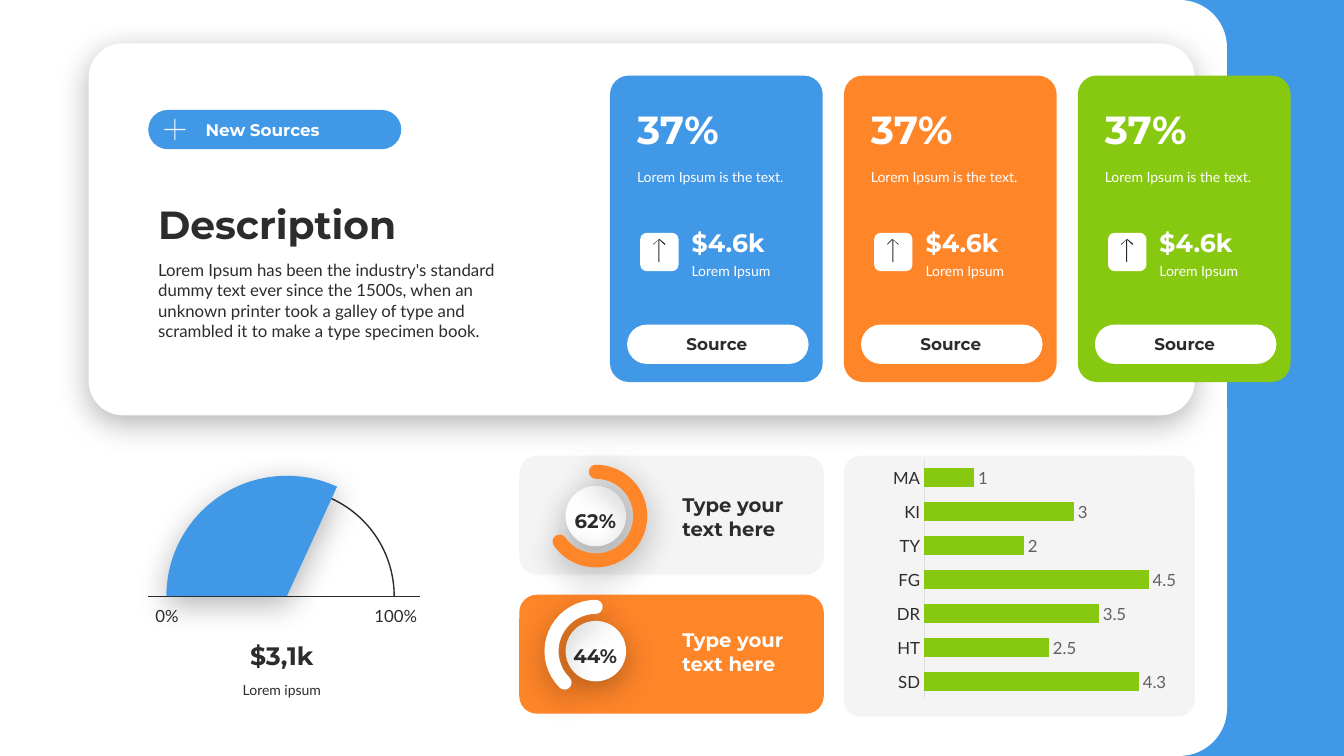
from dataclasses import dataclass

from lxml import etree
from pptx import Presentation
from pptx import util as u
from pptx.chart import data as chart_data
from pptx.dml import color
from pptx.enum import chart as charts, shapes, text
from pptx.oxml import ns

# Content
BADGE = "New Sources"
DESCRIPTION = (
    "Description",
    "Lorem Ipsum has been the industry's standard dummy text ever since the 1500s, "
    "when an unknown printer took a galley of type and scrambled it to make a type "
    "specimen book.",
)
SOURCE_CARDS = [
    ("blue", "37%", "Lorem Ipsum is the text.", "$4.6k", "Lorem Ipsum", "Source"),
    ("orange", "37%", "Lorem Ipsum is the text.", "$4.6k", "Lorem Ipsum", "Source"),
    ("green", "37%", "Lorem Ipsum is the text.", "$4.6k", "Lorem Ipsum", "Source"),
]
METER = {"low": "0%", "high": "100%", "amount": "$3,1k", "caption": "Lorem ipsum"}
# share, caption, ring start and end in degrees, card, card opacity, ring, caption colour
RINGS = [
    ("62%", "Type your text here", 270, 144.9, "ink", 5, "orange", "ink"),
    ("44%", "Type your text here", 134.9, 269.7, "orange", 100, "white", "white"),
]
BARS = {"SD": 4.3, "HT": 2.5, "DR": 3.5, "FG": 4.5, "TY": 2, "KI": 3, "MA": 1}


@dataclass(frozen=True)
class Theme:
    blue: str = "4198E7"
    orange: str = "FF8529"
    green: str = "87C911"
    white: str = "FFFFFF"
    ink: str = "2C2C2C"
    grey: str = "616161"
    axis: str = "DFDFDF"
    head: str = "Montserrat"
    body: str = "Lato"
    title: int = 28
    figure: int = 18
    label: int = 14
    copy: int = 12
    small: int = 10


T = Theme()
KIND, ALIGN, ANCHOR = shapes.MSO_SHAPE, text.PP_ALIGN, text.MSO_ANCHOR

# Grid, in inches
WIDE, HIGH = 13.33, 7.5
LEFT = 1.47
CARD_LEFT, CARD_TOP, CARD_PITCH = 6.05, 0.75, 2.32
RING_LEFT, LOWER_TOP = 5.15, 4.52
RING_CARD_PITCH, RING_PITCH = 1.38, 1.34
BARS_LEFT = CARD_LEFT + CARD_PITCH
METER_X, METER_Y = 2.85, 5.92

# Outlines, in hundredths of an inch
ARROW = [(5.5, 0), (11.5, 5), (11, 6), (6.2, 1.4), (6.2, 23),
         (5.2, 23), (5.2, 1.4), (0.5, 6), (0, 5)]
PLUS = [(10, 0), (11, 0), (11, 10), (21, 10), (21, 11), (11, 11),
        (11, 21), (10, 21), (10, 11), (0, 11), (0, 10), (10, 10)]

deck = Presentation()
deck.slide_width, deck.slide_height = u.Inches(WIDE), u.Inches(HIGH)
slide = deck.slides.add_slide(deck.slide_layouts[6])


def rgb(name):
    return color.RGBColor.from_string(getattr(T, name))


def set_font(font, size, name="ink", face=T.body, bold=False):
    font.size, font.name, font.bold = u.Pt(size), face, bold
    font.color.rgb = rgb(name)


def style(shape, fill=None, opacity=100, line=None, width=1, shadow=False):
    shape.shadow.inherit = False
    props = shape._element.spPr
    if fill:
        shape.fill.solid()
        shape.fill.fore_color.rgb = rgb(fill)
        if opacity < 100:
            tint = props.find(ns.qn("a:solidFill"))[0]
            etree.SubElement(tint, ns.qn("a:alpha"), val=str(opacity * 1000))
    else:
        shape.fill.background()
    if line:
        shape.line.color.rgb = rgb(line)
        shape.line.width = u.Pt(width)
        if width > 1:
            props.find(ns.qn("a:ln")).set("cap", "rnd")
    else:
        shape.line.fill.background()
    if shadow:
        outer = etree.SubElement(
            props.find(ns.qn("a:effectLst")), ns.qn("a:outerShdw"),
            blurRad=str(u.Pt(23)), dist=str(u.Pt(6)), dir=str(90 * 60000),
            algn="t", rotWithShape="0")
        black = etree.SubElement(outer, ns.qn("a:srgbClr"), val="000000")
        etree.SubElement(black, ns.qn("a:alpha"), val="30000")


def add(kind, x, y, w, h, adjust=(), **look):
    shape = slide.shapes.add_shape(kind, *map(u.Inches, (x, y, w, h)))
    for i, value in enumerate(adjust):
        shape.adjustments[i] = value
    style(shape, **look)


def rounded(x, y, w, h, corner, **look):
    add(KIND.ROUNDED_RECTANGLE, x, y, w, h, [corner], **look)


def arc(x, y, size, start, end, **look):
    # Angles are stored in 60000ths of a degree, adjustments in 100000ths
    add(KIND.ARC, x, y, size, size, [start * 0.6, end * 0.6], **look)


def outline(points, x, y, fill):
    spots = [(x * 100 + px, y * 100 + py) for px, py in points]
    builder = slide.shapes.build_freeform(*spots[0], scale=u.Inches(0.01))
    builder.add_line_segments(spots[1:], close=True)
    style(builder.convert_to_shape(), fill=fill)


def write(words, x, y, w, h, size, name="ink", head=False, align=ALIGN.LEFT,
          anchor=ANCHOR.TOP, side=0.1, edge=0.05, wrap=True, after=0):
    frame = slide.shapes.add_textbox(*map(u.Inches, (x, y, w, h))).text_frame
    frame.word_wrap = wrap
    frame.auto_size = text.MSO_AUTO_SIZE.SHAPE_TO_FIT_TEXT
    frame.vertical_anchor = anchor
    frame.margin_left = frame.margin_right = u.Inches(side)
    frame.margin_top = frame.margin_bottom = u.Inches(edge)
    line = frame.paragraphs[0]
    line.text, line.alignment, line.space_after = words, align, u.Pt(after)
    set_font(line.font, size, name, T.head if head else T.body, head)


# Backdrop and main panel
add(KIND.RECTANGLE, 10.84, 0, WIDE - 10.84, HIGH, fill="blue")
rounded(0, 0, 12.17, HIGH, 0.063, fill="white")
rounded(0.88, 0.43, 10.97, 3.69, 0.092, fill="white", shadow=True)

# Source cards
for i, (tone, share, note, amount, caption, button) in enumerate(SOURCE_CARDS):
    x, y = CARD_LEFT + i * CARD_PITCH, CARD_TOP
    inner, figures = x + 0.17, x + 0.81
    rounded(x, y, 2.11, 3.04, 0.089, fill=tone)
    write(note, inner, y + 0.87, 1.84, 0.27, T.small, "white")
    write(share, inner, y + 0.24, 1.88, 0.57, T.title, "white", True, anchor=ANCHOR.BOTTOM)
    rounded(x + 0.3, y + 1.56, 0.38, 0.38, 0.167, fill="white")
    outline(ARROW, x + 0.43, y + 1.62, "ink")
    write(caption, figures, y + 1.81, 1.04, 0.27, T.small, "white", side=0)
    write(amount, figures, y + 1.45, 1.04, 0.4, T.figure, "white", True,
          anchor=ANCHOR.BOTTOM, side=0)
    rounded(inner, y + 2.47, 1.8, 0.39, 0.5, fill="white")
    write(button, inner, y + 2.51, 1.78, 0.3, T.copy, head=True,
          align=ALIGN.CENTER, anchor=ANCHOR.MIDDLE)

# Badge and description
rounded(LEFT, 1.09, 2.51, 0.39, 0.5, fill="blue")
write(BADGE, 1.94, 1.14, 2.02, 0.3, T.copy, "white", True, anchor=ANCHOR.MIDDLE)
outline(PLUS, 1.63, 1.18, "white")
heading, story = DESCRIPTION
write(story, LEFT, 2.53, 3.68, 0.91, T.copy)
write(heading, LEFT, 1.93, 3.68, 0.57, T.title, head=True, anchor=ANCHOR.BOTTOM)

# Half-circle meter
arc(METER_X - 1.07, METER_Y - 1.07, 2.13, 180, 0, line="ink")
base = slide.shapes.add_connector(
    shapes.MSO_CONNECTOR.STRAIGHT, *map(u.Inches, (LEFT, METER_Y, 4.17, METER_Y)))
base.line.color.rgb, base.line.width = rgb("ink"), u.Pt(1)
etree.SubElement(base._element.spPr, ns.qn("a:effectLst"))
for end, x, w in (("low", 1.54, 0.23), ("high", 3.71, 0.43)):
    write(METER[end], x, 6.01, w, 0.2, T.copy, align=ALIGN.CENTER,
          anchor=ANCHOR.MIDDLE, side=0, edge=0, wrap=False)
arc(METER_X - 1.2, METER_Y - 1.2, 2.39, 180, 294.6, fill="blue", shadow=True)
write(METER["caption"], 1.59, 6.71, 2.41, 0.27, T.small, align=ALIGN.CENTER, after=6)
write(METER["amount"], 1.59, 6.3, 2.41, 0.4, T.figure, head=True, align=ALIGN.CENTER,
      anchor=ANCHOR.BOTTOM, side=0.08, after=6)

# Ring cards
for i, (share, caption, start, end, card, opacity, ring, ink) in enumerate(RINGS):
    x, y = RING_LEFT, LOWER_TOP + i * RING_PITCH
    rounded(x, LOWER_TOP + i * RING_CARD_PITCH, 3.02, 1.18, 0.148, fill=card, opacity=opacity)
    add(KIND.OVAL, x + 0.46, y + 0.3, 0.6, 0.6, fill="white", shadow=True)
    write(share, x + 0.42, y + 0.47, 0.67, 0.34, T.label, head=True,
          align=ALIGN.CENTER, anchor=ANCHOR.BOTTOM)
    arc(x + 0.32, y + 0.16, 0.88, start, end, line=ring, width=10, shadow=True)
    write(caption, x + 1.52, y + 0.32, 1.3, 0.57, T.label, ink, True, anchor=ANCHOR.MIDDLE)

# Bar chart
rounded(BARS_LEFT, LOWER_TOP, 3.48, 2.59, 0.064, fill="ink", opacity=5)
table = chart_data.CategoryChartData()
table.categories = list(BARS)
table.add_series("Series 1", list(BARS.values()))
chart = slide.shapes.add_chart(
    charts.XL_CHART_TYPE.BAR_CLUSTERED,
    *map(u.Inches, (BARS_LEFT + 0.43, LOWER_TOP, 2.9, 2.46)), table).chart
chart.has_legend = chart.has_title = False
set_font(chart.font, T.small)
names, values = chart.category_axis, chart.value_axis
names.major_tick_mark = names.minor_tick_mark = charts.XL_TICK_MARK.NONE
names.has_major_gridlines = values.has_major_gridlines = False
names.format.line.color.rgb, names.format.line.width = rgb("axis"), u.Pt(0.75)
set_font(names.tick_labels.font, T.copy)
values.minimum_scale, values.maximum_scale, values.visible = 0, 5, False
plot = chart.plots[0]
plot.gap_width, plot.vary_by_categories, plot.has_data_labels = 75, False, True
plot.series[0].format.fill.solid()
plot.series[0].format.fill.fore_color.rgb = rgb("green")
plot.data_labels.show_value = True
plot.data_labels.position = charts.XL_LABEL_POSITION.OUTSIDE_END
set_font(plot.data_labels.font, T.copy, "grey")

deck.save("out.pptx")
